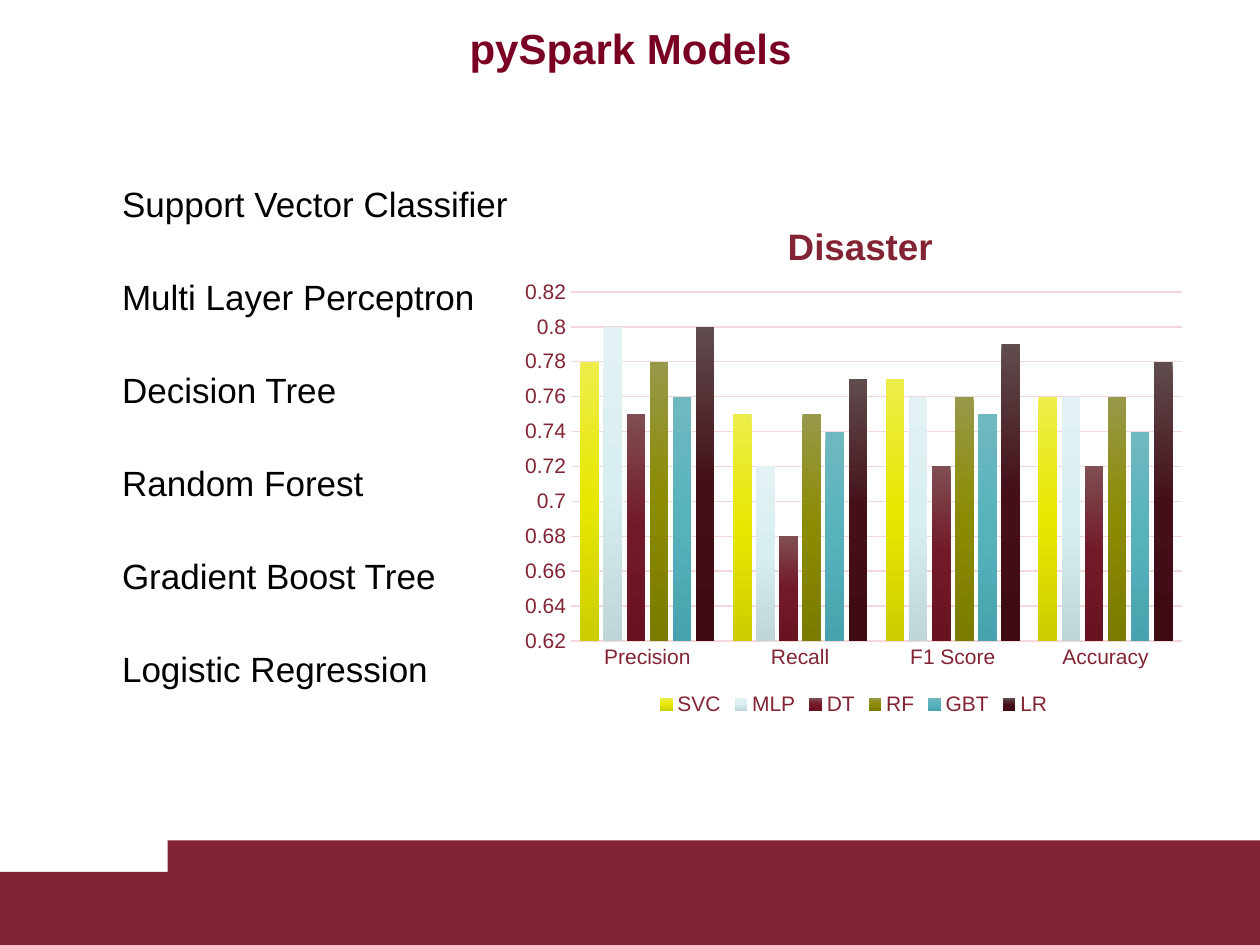
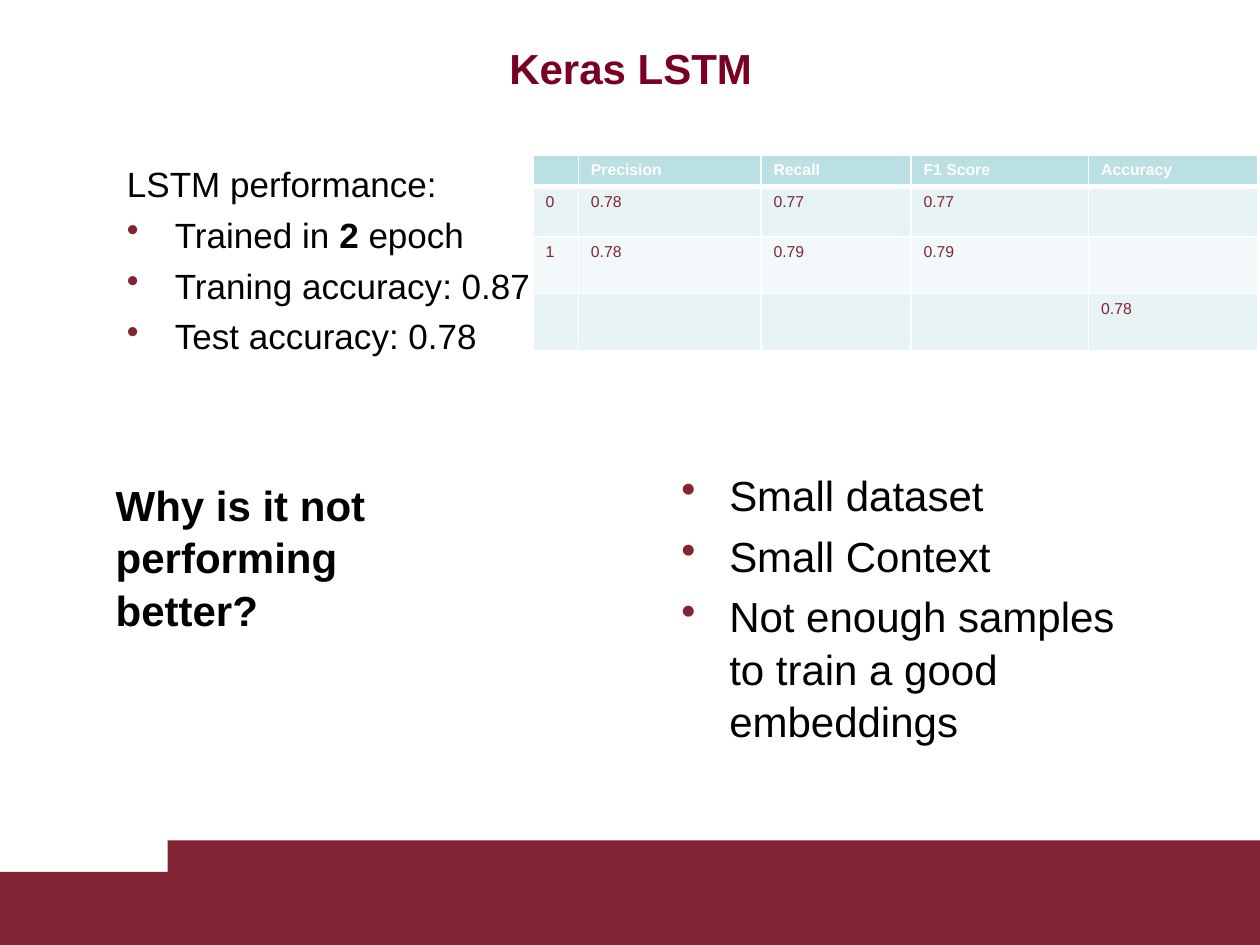
from dataclasses import dataclass

from lxml import etree
from pptx import Presentation
from pptx import util as u
from pptx.chart import data as chart_data
from pptx.dml.color import RGBColor
from pptx.enum import chart as chart_enum, shapes, text
from pptx.oxml import parse_xml
from pptx.oxml.ns import nsdecls, qn


@dataclass(frozen=True)
class Theme:
    font: str = "Arial"
    maroon: str = "822433"
    title: str = "790022"
    ink: str = "000000"
    white: str = "FFFFFF"
    grid: str = "F4D7DB"
    header: str = "BBE0E3"
    bands: tuple = ("E7F3F4", "F3F9FA")
    large: int = 24
    chart_title: int = 21
    body: int = 20
    axis: int = 12
    cell: int = 9
    line_spacing: float = 1.04


THEME = Theme()

# Content: a text is a list of paragraphs, each (bulleted, [(words, bold), ...])
MODELS = ["Support Vector Classifier", "Multi Layer Perceptron", "Decision Tree",
          "Random Forest", "Gradient Boost Tree", "Logistic Regression"]
METRICS = ["Precision", "Recall", "F1 Score", "Accuracy"]
CHART_TITLE = "Disaster"
SCORES = [  # name, values, gradient from top to bottom
    ("SVC", (0.78, 0.75, 0.77, 0.76), ("EDED4B", "E7E700", "CDCD00")),
    ("MLP", (0.8, 0.72, 0.76, 0.76), ("E2F1F3", "D9EEF0", "BFD5D7")),
    ("DT", (0.75, 0.68, 0.72, 0.72), ("804E53", "721927", "691320")),
    ("RF", (0.78, 0.75, 0.76, 0.76), ("98984B", "8B8B00", "7B7B00")),
    ("GBT", (0.76, 0.74, 0.75, 0.74), ("70B8C0", "56B3BC", "47A3AD")),
    ("LR", (0.8, 0.77, 0.79, 0.78), ("604C4D", "440F18", "3F0B13")),
]
LSTM_RESULTS = [
    (False, [("LSTM performance:", False)]),
    (True, [("Trained in ", False), ("2 ", True), ("epoch", False)]),
    (True, [("Traning accuracy: 0.87", False)]),
    (True, [("Test accuracy: 0.78", False)]),
]
QUESTION = [(False, [("Why is it not performing better?", True)])]
REASONS = [(True, [(reason, False)]) for reason in (
    "Small dataset", "Small Context", "Not enough samples to train a good embeddings")]
LSTM_TABLE = [
    ["", *METRICS],
    ["0", "0.78", "0.77", "0.77", ""],
    ["1", "0.78", "0.79", "0.79", ""],
    ["", "", "", "", "0.78"],
]
COLUMN_WIDTHS = (0.36, 1.45, 1.19, 1.41, 1.34)
ROW_HEIGHTS = (0.24, 0.4, 0.45, 0.45)

# Places: left, top, width, height in inches
FOOTER_BANDS = [(0, 6.92, 10, 0.58), (1.33, 6.67, 8.67, 0.83)]
CHART_AREA = (4.06, 1.51, 5.43, 4.21)
PLOT_AREA = (4.53, 2.32, 4.85, 2.77)
CHART_TITLE_AT = (6.2, 1.72)
FIRST_MODEL_TOP, LAST_MODEL_TOP = 1.39, 5.08


def inches(place):
    return [u.Inches(value) for value in place]


def style_font(font, size, color, bold=False):
    font.name = THEME.font
    font.size = u.Pt(size)
    font.bold = bold
    font.color.rgb = RGBColor.from_string(color)


def add_bullet(para):
    props = para._p.get_or_add_pPr()
    props.set("marL", str(u.Inches(0.38)))
    props.set("indent", str(-u.Inches(0.38)))
    props.append(parse_xml(
        f'<a:buClr {nsdecls("a")}><a:srgbClr val="{THEME.maroon}"/></a:buClr>'))
    props.append(parse_xml(f'<a:buChar {nsdecls("a")} char="•"/>'))


def add_text(page, place, content, size, color=THEME.ink,
             align=text.PP_ALIGN.LEFT, anchor=text.MSO_ANCHOR.TOP, spacing=THEME.line_spacing):
    frame = page.shapes.add_textbox(*inches(place)).text_frame
    frame.word_wrap = True
    frame.vertical_anchor = anchor
    for index, (bulleted, spans) in enumerate(content):
        para = frame.add_paragraph() if index else frame.paragraphs[0]
        para.alignment = align
        para.line_spacing = spacing
        if index:
            para.space_before = u.Pt(size * 0.2)
        if bulleted:
            add_bullet(para)
        for words, bold in spans:
            span = para.add_run()
            span.text = words
            style_font(span.font, size, color, bold)


def add_page(deck, title, title_top):
    """Blank page with the footer bands and a centred title."""
    page = deck.slides.add_slide(deck.slide_layouts[6])
    for place in FOOTER_BANDS:
        band = page.shapes.add_shape(shapes.MSO_SHAPE.RECTANGLE, *inches(place))
        band.shadow.inherit = False
        band.fill.solid()
        band.fill.fore_color.rgb = RGBColor.from_string(THEME.maroon)
        band.line.fill.background()
    add_text(page, (0.87, title_top, 8.27, 0.55), [(False, [(title, True)])],
             THEME.large, THEME.title, text.PP_ALIGN.CENTER, spacing=1.0)
    return page


def place_in_chart(element, place, inner=False):
    """Give a chart part a manual layout from its place on the page."""
    left, top, width, height = CHART_AREA
    fractions = [(place[0] - left) / width, (place[1] - top) / height]
    fractions += [size / whole for size, whole in zip(place[2:], (width, height))]
    old = element.find(qn("c:layout"))
    if old is not None:
        element.remove(old)
    layout = parse_xml(f'<c:layout {nsdecls("c")}><c:manualLayout/></c:layout>')
    settings = [("layoutTarget", "inner")] if inner else []
    settings += [("xMode", "edge"), ("yMode", "edge")]
    settings += [(key, f"{part:.3f}") for key, part in zip("xywh", fractions)]
    for key, value in settings:
        etree.SubElement(layout[0], qn(f"c:{key}")).set("val", value)
    text_part = element.find(qn("c:tx"))
    element.insert(0 if text_part is None else 1, layout)


def fill_gradient(series, colors):
    stops = "".join(f'<a:gs pos="{index * 50000}"><a:srgbClr val="{color}"/></a:gs>'
                    for index, color in enumerate(colors))
    series._element.get_or_add_spPr().append(parse_xml(
        f'<a:gradFill {nsdecls("a")} rotWithShape="1"><a:gsLst>{stops}</a:gsLst>'
        '<a:lin ang="5400000" scaled="0"/></a:gradFill>'))


def style_line(line):
    line.color.rgb = RGBColor.from_string(THEME.grid)
    line.width = u.Pt(0.75)


def add_score_chart(page):
    scores = chart_data.CategoryChartData()
    scores.categories = METRICS
    for name, values, _ in SCORES:
        scores.add_series(name, values)
    chart = page.shapes.add_chart(chart_enum.XL_CHART_TYPE.COLUMN_CLUSTERED,
                                  *inches(CHART_AREA), scores).chart
    style_font(chart.font, THEME.axis, THEME.maroon)

    chart.has_title = True
    chart.chart_title.text_frame.text = CHART_TITLE
    style_font(chart.chart_title.text_frame.paragraphs[0].runs[0].font,
               THEME.chart_title, THEME.maroon, True)
    chart.chart_title.include_in_layout = False
    place_in_chart(chart.chart_title._element, CHART_TITLE_AT)
    place_in_chart(chart._chartSpace.chart.plotArea, PLOT_AREA, inner=True)

    chart.has_legend = True
    chart.legend.position = chart_enum.XL_LEGEND_POSITION.BOTTOM
    chart.legend.include_in_layout = False
    style_font(chart.legend.font, THEME.axis, THEME.maroon)

    for axis in (chart.category_axis, chart.value_axis):
        axis.major_tick_mark = chart_enum.XL_TICK_MARK.NONE
        style_font(axis.tick_labels.font, THEME.axis, THEME.maroon)
    style_line(chart.category_axis.format.line)
    values = chart.value_axis
    values.minimum_scale, values.maximum_scale, values.major_unit = 0.62, 0.82, 0.02
    values.format.line.fill.background()
    style_line(values.major_gridlines.format.line)

    plot = chart.plots[0]
    plot.gap_width, plot.overlap = 100, -24
    plot.vary_by_categories = False
    for series, (_, _, colors) in zip(plot.series, SCORES):
        fill_gradient(series, colors)


def style_cell(cell, words, fill, color, bold, bottom_width):
    cell.text_frame.text = words
    para = cell.text_frame.paragraphs[0]
    for span in para.runs:
        style_font(span.font, THEME.cell, color, bold)
    if not words:  # keeps an empty cell as low as its row
        etree.SubElement(para._p, qn("a:endParaRPr")).set("sz", str(THEME.cell * 100))
    props = cell._tc.get_or_add_tcPr()
    for side, width in zip("LRTB", (1, 1, 1, bottom_width)):
        props.append(parse_xml(
            f'<a:ln{side} {nsdecls("a")} w="{u.Pt(width)}"><a:solidFill>'
            f'<a:srgbClr val="{THEME.white}"/></a:solidFill></a:ln{side}>'))
    cell.fill.solid()
    cell.fill.fore_color.rgb = RGBColor.from_string(fill)


def add_lstm_table(page):
    place = (4.23, 1.23, sum(COLUMN_WIDTHS), sum(ROW_HEIGHTS))
    table = page.shapes.add_table(len(ROW_HEIGHTS), len(COLUMN_WIDTHS), *inches(place)).table
    for column, width in zip(table.columns, COLUMN_WIDTHS):
        column.width = u.Inches(width)
    for index, (row, height) in enumerate(zip(table.rows, ROW_HEIGHTS)):
        row.height = u.Inches(height)
        if index == 0:
            look = (THEME.header, THEME.white, True, 3)
        else:
            look = (THEME.bands[(index - 1) % 2], THEME.maroon, False, 1)
        for cell, words in zip(row.cells, LSTM_TABLE[index]):
            style_cell(cell, words, *look)


def build_models_page(deck):
    page = add_page(deck, "pySpark Models", 0.13)
    pitch = (LAST_MODEL_TOP - FIRST_MODEL_TOP) / (len(MODELS) - 1)
    for index, model in enumerate(MODELS):
        add_text(page, (0.87, FIRST_MODEL_TOP + index * pitch, 3.58, 0.5),
                 [(False, [(model, False)])], THEME.body)
    add_score_chart(page)


def build_lstm_page(deck):
    page = add_page(deck, "Keras LSTM", 0.29)
    add_text(page, (0.91, 1.23, 8.27, 1.1), LSTM_RESULTS, THEME.body)
    add_lstm_table(page)
    add_text(page, (5.31, 3.12, 3.86, 3.39), REASONS, THEME.large,
             anchor=text.MSO_ANCHOR.MIDDLE)
    add_text(page, (0.82, 3.74, 3.06, 1.28), QUESTION, THEME.large)


def main():
    deck = Presentation()
    deck.slide_width, deck.slide_height = inches((10, 7.5))
    build_models_page(deck)
    build_lstm_page(deck)
    deck.save("out.pptx")


if __name__ == "__main__":
    main()
